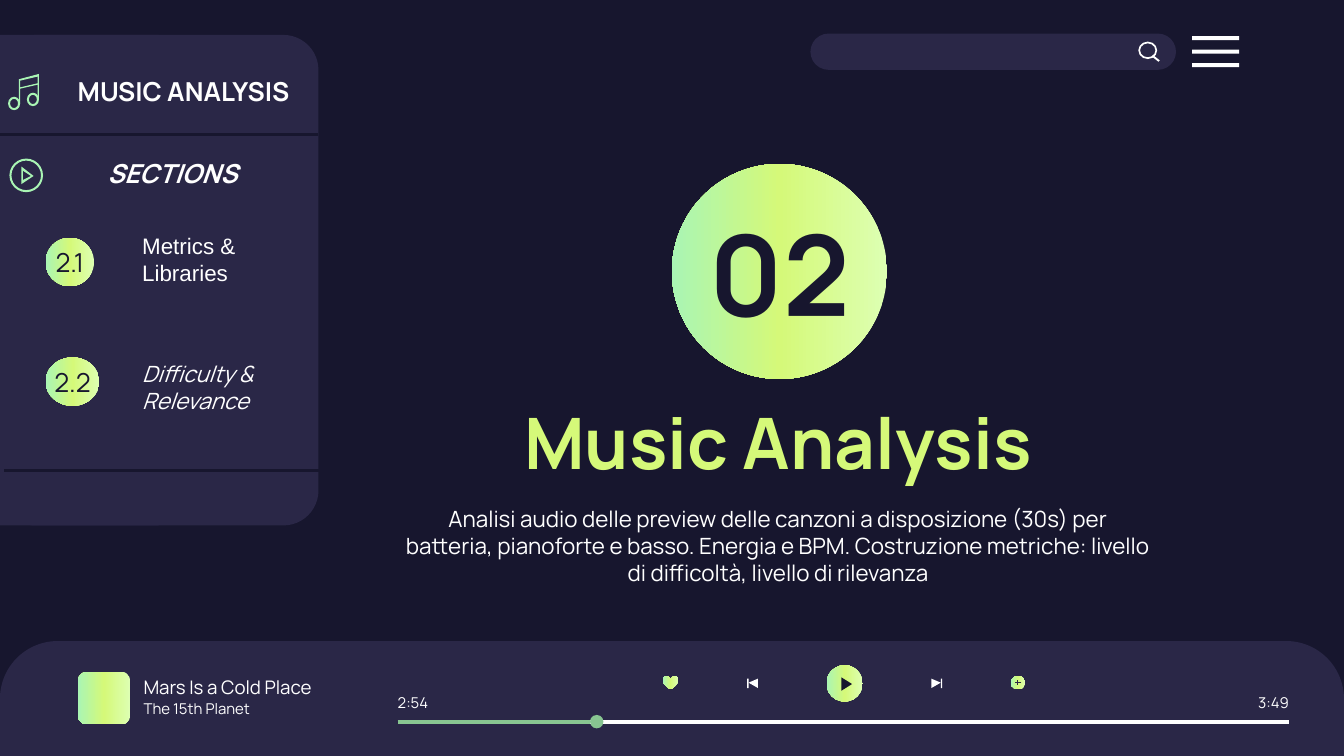
from copy import deepcopy

from lxml.etree import SubElement
from pptx import Presentation
from pptx.dml.color import RGBColor
from pptx.enum.shapes import MSO_CONNECTOR, MSO_SHAPE
from pptx.enum.text import MSO_ANCHOR, MSO_AUTO_SIZE, PP_ALIGN
from pptx.oxml.ns import qn
from pptx.util import Inches, Pt

COLORS = {
    "night": "17162E", "panel": "2A2747", "white": "FFFFFF",
    "pale": "DDFFB2", "lime": "D5F979", "mint": "A9F5B4", "played": "88C591",
}
GLOW = ("pale", "lime", "mint")

deck = Presentation()
deck.slide_width, deck.slide_height = Inches(10), Inches(5.625)
CELL = deck.slide_width // 1000
slide = deck.slides.add_slide(deck.slide_layouts[0])
slide.background.fill.solid()
slide.background.fill.fore_color.rgb = RGBColor.from_string(COLORS["night"])


def paint(shape, fill, *adjustments):
    shape.shadow.inherit = False
    shape.line.fill.background()
    for index, value in enumerate(adjustments):
        shape.adjustments[index] = value
    if fill == "glow":
        shape.fill.gradient()
        shape.fill.gradient_angle = 180
        stop_list = shape._element.spPr.find(".//" + qn("a:gsLst"))
        stop_list.insert(1, deepcopy(stop_list[0]))
        for index, (stop, color) in enumerate(zip(shape.fill.gradient_stops, GLOW)):
            stop.position = index / 2
            stop.color.rgb = RGBColor.from_string(COLORS[color])
    else:
        shape.fill.solid()
        shape.fill.fore_color.rgb = RGBColor.from_string(COLORS[fill])
    return shape


def write(text, at=None, host=None, size=12, color="white", bold=False, italic=False,
          font="Manrope", align=PP_ALIGN.LEFT, side=10, after=0):
    host = host or slide.shapes.add_textbox(0, 0, 0, 0)
    if at:
        host.left, host.top, host.width, host.height = [n * CELL for n in at]
    frame = host.text_frame
    frame.word_wrap = True
    frame.auto_size = MSO_AUTO_SIZE.NONE
    frame.vertical_anchor = MSO_ANCHOR.MIDDLE
    frame.margin_left = frame.margin_right = side * CELL
    frame.margin_top = frame.margin_bottom = 10 * CELL
    paragraph = frame.paragraphs[0]
    paragraph.alignment = align
    paragraph.space_before, paragraph.space_after = Pt(0), Pt(after)
    run = paragraph.add_run()
    run.text = text
    run.font.name, run.font.size = font, Pt(size)
    run.font.bold, run.font.italic = bold, italic
    run.font.color.rgb = RGBColor.from_string(COLORS[color])


blocks = [
    (MSO_SHAPE.ROUNDED_RECTANGLE, (603, 25, 272, 27), "panel", 0.5),
    *[(MSO_SHAPE.RECTANGLE, (887, 27 + 10 * bar, 35, 3), "white") for bar in range(3)],
    (MSO_SHAPE.DONUT, (847, 31, 14, 13), "white", 0.1),
    (MSO_SHAPE.ROUND_2_SAME_RECTANGLE, (0, 477, 1000, 86), "panel", 0.5, 0),
    (MSO_SHAPE.ROUNDED_RECTANGLE, (58, 500, 39, 39), "glow", 0.17),
    (MSO_SHAPE.HEART, (493, 503, 12, 10), "glow"),
    (MSO_SHAPE.OVAL, (752, 503, 11, 10), "glow"),
    (MSO_SHAPE.OVAL, (615, 495, 27, 27), "glow"),
    (MSO_SHAPE.OVAL, (500, 122, 160, 160), "glow"),
    (MSO_SHAPE.RECTANGLE, (0, 26, 118, 365), "panel"),
    (MSO_SHAPE.ROUNDED_RECTANGLE, (0, 26, 237, 365), "panel", 0.11),
    (MSO_SHAPE.DONUT, (7, 118, 25, 25), "mint", 0.06),
    (MSO_SHAPE.DONUT, (6, 72, 9, 10), "mint", 0.17),
    (MSO_SHAPE.DONUT, (20, 69, 9, 10), "mint", 0.17),
    (MSO_SHAPE.RECTANGLE, (700, 505, 1, 7), "white"),
    (MSO_SHAPE.RECTANGLE, (556, 505, 1, 7), "white"),
]
for kind, at, fill, *adjustments in blocks:
    paint(slide.shapes.add_shape(kind, *[n * CELL for n in at]), fill, *adjustments)

icons = [
    ("white", [[(858, 41), (857, 42), (862, 46), (863, 45)]]),
    ("night", [[(626, 504), (626, 514), (634, 509)]]),
    ("mint", [[(16, 124), (16, 137), (25, 131)], [(17, 127), (23, 131), (17, 134)]]),
    ("mint", [[(29, 55), (14, 59), (14, 77), (15, 77), (15, 66), (28, 63), (28, 74), (29, 74)],
              [(28, 57), (28, 62), (15, 65), (15, 60)]]),
    ("white", [[(693, 505), (693, 512), (700, 508)]]),
    ("white", [[(564, 505), (557, 508), (564, 512)]]),
]
for fill, contours in icons:
    outline = slide.shapes.build_freeform(*contours[0][0], scale=CELL)
    outline.add_line_segments(contours[0][1:], close=True)
    for hole in contours[1:]:
        outline.move_to(*hole[0])
        outline.add_line_segments(hole[1:], close=True)
    paint(outline.convert_to_shape(), fill)

rules = [
    ((757, 506), (757, 510), "panel", 0.75),
    ((760, 508), (755, 508), "panel", 0.75),
    ((237, 100), (0, 100), "night", 1.5),
    ((240, 350), (3, 350), "night", 1.5),
    ((296, 537), (959, 537), "white", 2.25),
    ((296, 537), (439, 537), "played", 2.25),
]
for start, end, color, width in rules:
    rule = slide.shapes.add_connector(
        MSO_CONNECTOR.STRAIGHT, *[n * CELL for n in start + end])
    rule.line.width = Pt(width)
    rule.line.color.rgb = RGBColor.from_string(COLORS[color])
    SubElement(rule._element.spPr, qn("a:effectLst"))
paint(slide.shapes.add_shape(
    MSO_SHAPE.OVAL, *[n * CELL for n in (439, 532, 10, 10)]), "played")

write("Music Analysis", (292, 282, 574, 92), slide.shapes.title, size=38, color="lime",
      bold=True, align=PP_ALIGN.CENTER)
write("Analisi audio delle preview delle canzoni a disposizione (30s) per batteria, "
      "pianoforte e basso. Energia e BPM. Costruzione metriche: livello di difficoltà, "
      "livello di rilevanza", (292, 367, 574, 78), slide.placeholders[1],
      align=PP_ALIGN.CENTER, after=16)
write("02", (500, 156, 160, 92), size=60, color="night", bold=True, align=PP_ALIGN.CENTER)

write("MUSIC ANALYSIS", (48, 50, 208, 36), size=14, bold=True)
write("SECTIONS", (70, 111, 130, 36), size=14, bold=True, italic=True)
write("Metrics & Libraries", (96, 167, 137, 52), font="Arial")
write("Difficulty & Relevance", (96, 262, 121, 52), italic=True)
for number, top, width in (("2.1", 177, 36), ("2.2", 266, 40)):
    badge = slide.shapes.add_shape(
        MSO_SHAPE.OVAL, *[n * CELL for n in (34, top, width, 36)])
    write(number, host=paint(badge, "glow"), size=14, color="night",
          align=PP_ALIGN.CENTER, side=0)

write("Mars Is a Cold Place", (97, 503, 191, 17), size=10)
write("The 15th Planet", (97, 519, 115, 17), size=8)
write("2:54", (296, 514, 27, 17), size=8, side=0)
write("3:49", (932, 514, 27, 17), size=8, align=PP_ALIGN.RIGHT, side=0)

deck.save("out.pptx")
